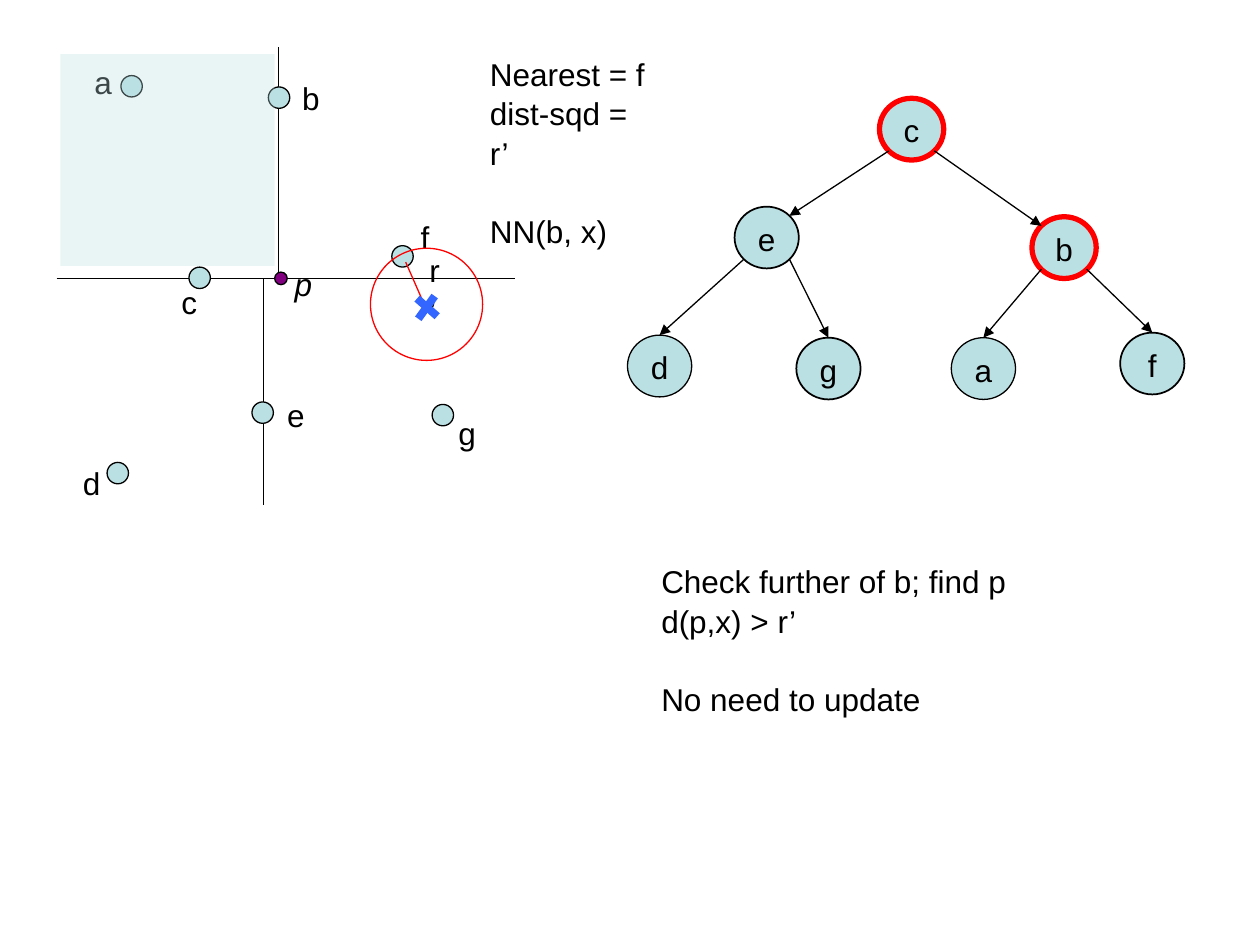
from dataclasses import dataclass
from typing import Optional

from lxml.etree import SubElement
from pptx import Presentation
from pptx.dml.color import RGBColor
from pptx.enum.shapes import MSO_CONNECTOR as Link, MSO_SHAPE as Form
from pptx.enum.text import MSO_ANCHOR as Anchor, MSO_AUTO_SIZE as AutoSize, PP_ALIGN as Align
from pptx.oxml.ns import qn
from pptx.util import Inches, Pt

COLORS = {"ink": "000000", "node": "BBE0E3", "visited": "FF0000",
          "split": "800080", "query": "3366FF"}
FONT = {"name": "Arial", "size": Pt(18)}
LABEL = {"auto_size": AutoSize.SHAPE_TO_FIT_TEXT}
CENTERED = {"word_wrap": False, "vertical_anchor": Anchor.MIDDLE}
LINE_SPACING = 1.05
BLANK_LINE = Pt(21.7)

prs = Presentation()
prs.slide_width, prs.slide_height = Inches(10), Inches(7.5)
COLUMN, ROW = prs.slide_width / 100, prs.slide_height / 75
DOT = 1.7
NODE_W, NODE_H = 5.1, 4.9
EDGE_X, EDGE_Y = 1.8, 1.72


@dataclass
class Site:
    name: str
    col: float
    row: float
    label_col: float
    label_row: float
    label_width: float = 3.4


@dataclass
class Node:
    name: str
    col: float
    row: float
    parent: str = ""
    color: str = "ink"
    weight: float = 0.75


SITES = [
    Site("b", 21.3, 6.9, 23, 5.6),
    Site("a", 9.6, 6, 6.5, 4.4),
    Site("c", 15, 21.2, 13.4, 21.8, 3.2),
    Site("e", 20, 31.9, 21.8, 30.8),
    Site("f", 31.1, 19.5, 32.4, 16.7, 2.7),
    Site("d", 8.5, 36.7, 5.6, 36.2),
    Site("g", 34.3, 32.1, 35.4, 32.2),
]
AXES = [(4.5, 22.1, 40.9, 22.1), (20.9, 22.1, 20.9, 40.1), (22.1, 22.1, 22.1, 3.7)]
CROSS = [(33.1, 23.7, 34.7, 25.1), (34.5, 23.5, 33.2, 25.3)]
TREE = [
    Node("c", 69.8, 7.8, color="visited", weight=3),
    Node("e", 58.3, 16.4, "c", weight=1),
    Node("b", 81.9, 17.2, "c", "visited", 3),
    Node("d", 49.8, 26.6, "e"),
    Node("g", 63.2, 26.8, "e", weight=1),
    Node("a", 75.5, 26.8, "b"),
    Node("f", 88.9, 26.4, "b", weight=1),
]


def grid(*lengths: float) -> list[int]:
    return [round(n * (ROW if i % 2 else COLUMN)) for i, n in enumerate(lengths)]


def rgb(color: str) -> RGBColor:
    return RGBColor.from_string(COLORS[color])


def apply(target, values: dict) -> None:
    for key, value in values.items():
        setattr(target, key, value)


def write(shape, lines: list[str], frame: dict, align=Align.LEFT, italic: bool = False) -> None:
    apply(shape.text_frame, frame)
    shape.text_frame.text = "\n".join(lines)
    for paragraph in shape.text_frame.paragraphs:
        apply(paragraph, {"alignment": align, "line_spacing": LINE_SPACING})
        apply(paragraph.font, FONT)
        for run in paragraph.runs:
            apply(run.font, {**FONT, "italic": italic or None})
            run.font.color.rgb = rgb("ink")


def label(shapes, box: tuple, lines: list[str], wrap: bool = False, italic: bool = False):
    text = shapes.add_textbox(*grid(*box))
    write(text, lines, {**LABEL, "word_wrap": wrap}, italic=italic)
    return text


def area(shapes, form, box: tuple, fill: Optional[str] = "node",
         line: Optional[str] = "ink", weight: float = 0.75):
    shape = shapes.add_shape(form, *grid(*box))
    shape.shadow.inherit = False
    if fill:
        shape.fill.solid()
        shape.fill.fore_color.rgb = rgb(fill)
    else:
        shape.fill.background()
    if line:
        shape.line.color.rgb = rgb(line)
        shape.line.width = Pt(weight)
    else:
        shape.line.fill.background()
    return shape


def stroke(shapes, ends: tuple, color: str = "ink", weight: float = 0.75,
           arrow: bool = False) -> None:
    line = shapes.add_connector(Link.STRAIGHT, *grid(*ends))
    line.line.color.rgb = rgb(color)
    line.line.width = Pt(weight)
    if arrow:
        SubElement(line.line._get_or_add_ln(), qn("a:tailEnd"), type="triangle")
    SubElement(line._element.spPr, qn("a:effectLst"))


def draw_plane(shapes) -> None:
    for axis in AXES:
        stroke(shapes, axis)
    for site in SITES:
        area(shapes, Form.OVAL, (site.col, site.row, DOT, DOT))
    for site in SITES:
        label(shapes, (site.label_col, site.label_row, site.label_width, 4), [site.name])


def draw_tree(shapes) -> None:
    centers = {n.name: (n.col + NODE_W / 2, n.row + NODE_H / 2) for n in TREE}
    parents = {n.parent for n in TREE}
    for node in TREE:
        oval = area(shapes, Form.OVAL, (node.col, node.row, NODE_W, NODE_H),
                    line=node.color, weight=node.weight)
        write(oval, [node.name], CENTERED, Align.CENTER)
    for node in TREE[1:]:
        x, y = centers[node.name]
        parent_x, parent_y = centers[node.parent]
        side = EDGE_X if x > parent_x else -EDGE_X
        end = (x - side, y - EDGE_Y) if node.name in parents else (x, node.row)
        stroke(shapes, (parent_x + side, parent_y + EDGE_Y, *end), arrow=True)


def draw_notes(shapes) -> None:
    state = label(shapes, (37.9, 3.7, 15, 13),
                  ["Nearest = f", "dist-sqd = r’", "NN(b, x)"], wrap=True)
    verdict = label(shapes, (51.5, 44, 29.4, 13),
                    ["Check further of b; find p", "d(p,x) > r’", "No need to update"])
    for note in (state, verdict):
        note.text_frame.paragraphs[-1].space_before = BLANK_LINE


def draw_search(shapes) -> None:
    stroke(shapes, (33.6, 24, 32.2, 20.8), "visited")
    area(shapes, Form.OVAL, (29.4, 19.7, 8.9, 8.9), None, "visited")
    label(shapes, (33.1, 19.3, 3.4, 4), ["r’"], wrap=True)
    corner = shapes.add_group_shape().shapes
    area(corner, Form.OVAL, (21.8, 21.6, 1, 1), "split")
    label(corner, (22.4, 20.4, 3.4, 4), ["p"], italic=True)
    region = area(shapes, Form.RECTANGLE, (4.8, 4.3, 17, 16.8), line=None)
    tint = region._element.spPr.find(qn("a:solidFill"))[0]
    SubElement(tint, qn("a:alpha"), val="32000")
    query = shapes.add_group_shape().shapes
    for bar in CROSS:
        stroke(query, bar, "query", 4.5)


def main() -> None:
    shapes = prs.slides.add_slide(prs.slide_layouts[6]).shapes
    draw_plane(shapes.add_group_shape().shapes)
    draw_tree(shapes)
    draw_notes(shapes)
    draw_search(shapes)
    prs.save("out.pptx")


if __name__ == "__main__":
    main()
